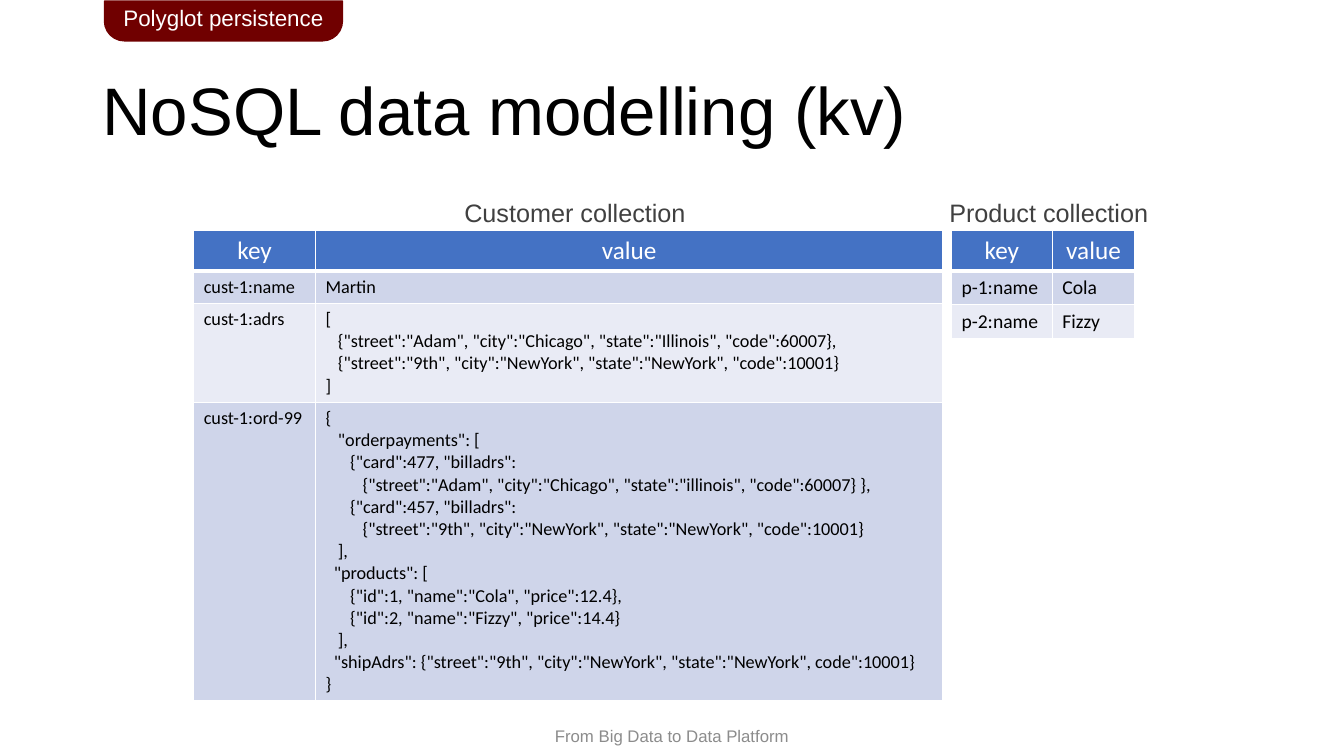
from collections import namedtuple
from dataclasses import dataclass

from lxml.etree import SubElement
from pptx import Presentation
from pptx.dml.color import RGBColor
from pptx.enum.shapes import MSO_SHAPE as Preset
from pptx.enum.text import MSO_ANCHOR as Anchor, MSO_AUTO_SIZE as AutoSize, PP_ALIGN as Align
from pptx.oxml.ns import qn
from pptx.util import Pt

Box = namedtuple("Box", "left top width height")


@dataclass(frozen=True)
class Theme:
    sans: str = "Arial"
    body: str = "Calibri"
    black: str = "000000"
    white: str = "FFFFFF"
    caption: str = "404040"
    footer: str = "8C8C8C"
    maroon: str = "700000"
    header: str = "4472C4"
    bands: tuple = ("CFD5EA", "E9EBF5")
    title_size: int = 48
    heading_size: int = 18
    tag_size: int = 16
    footer_size: int = 12
    customer_size: int = 13
    product_size: int = 14


THEME = Theme()

ADDRESSES = """[
   {"street":"Adam", "city":"Chicago", "state":"Illinois", "code":60007},\v\
   {"street":"9th", "city":"NewYork", "state":"NewYork", "code":10001}
]"""

ORDER = """{
   "orderpayments": [
      {"card":477, "billadrs":
         {"street":"Adam", "city":"Chicago", "state":"illinois", "code":60007} },
      {"card":457, "billadrs":
         {"street":"9th", "city":"NewYork", "state":"NewYork", "code":10001}
   ],
  "products": [
      {"id":1, "name":"Cola", "price":12.4},
      {"id":2, "name":"Fizzy", "price":14.4}
   ],
  "shipAdrs": {"street":"9th", "city":"NewYork", "state":"NewYork", code":10001}
}"""

HEADINGS = ("key", "value")
CUSTOMERS = [
    HEADINGS,
    ("cust-1:name", "Martin"),
    ("cust-1:adrs", ADDRESSES),
    ("cust-1:ord-99", ORDER),
]
PRODUCTS = [HEADINGS, ("p-1:name", "Cola"), ("p-2:name", "Fizzy")]


def points(box):
    return [Pt(length) for length in box]


def write(frame, text, size, color, font=THEME.sans, align=Align.LEFT):
    frame.text = text
    for para in frame.paragraphs:
        para.alignment = align
        para.font.name = font
        para.font.size = Pt(size)
        para.font.color.rgb = RGBColor.from_string(color)


def paint(fill, color):
    fill.solid()
    fill.fore_color.rgb = RGBColor.from_string(color)


def add_borders(cell, bottom, color=THEME.white):
    properties = cell._tc.get_or_add_tcPr()
    for side, width in (("L", 1), ("R", 1), ("T", 1), ("B", bottom)):
        line = SubElement(properties, qn(f"a:ln{side}"), w=str(Pt(width)))
        SubElement(SubElement(line, qn("a:solidFill")), qn("a:srgbClr"), val=color)


def add_title(page, box, text):
    title = page.shapes.title
    title.left, title.top, title.width, title.height = points(box)
    frame = title.text_frame
    frame.auto_size = AutoSize.NONE
    frame.vertical_anchor = Anchor.MIDDLE
    write(frame, text, THEME.title_size, THEME.black)
    frame.paragraphs[0].line_spacing = 0.9


def add_section_tag(page, box, text):
    tag = page.shapes.add_shape(Preset.ROUND_2_SAME_RECTANGLE, *points(box))
    tag.adjustments[0], tag.adjustments[1] = 0, 0.5
    tag.shadow.inherit = False
    paint(tag.fill, THEME.maroon)
    paint(tag.line.fill, THEME.maroon)
    tag.line.width = Pt(1)
    tag.text_frame.vertical_anchor = Anchor.MIDDLE
    write(tag.text_frame, text, THEME.tag_size, THEME.white, align=Align.CENTER)


def add_caption(page, box, text):
    frame = page.shapes.add_textbox(*points(box)).text_frame
    frame.word_wrap = False
    frame.auto_size = AutoSize.SHAPE_TO_FIT_TEXT
    write(frame, text, THEME.heading_size, THEME.caption)


def add_footer(page, box, text):
    frame = page.shapes.add_textbox(*points(box)).text_frame
    frame.word_wrap = True
    frame.vertical_anchor = Anchor.MIDDLE
    write(frame, text, THEME.footer_size, THEME.footer, align=Align.CENTER)


def add_collection(page, box, rows, key_width, row_heights, size):
    table = page.shapes.add_table(len(rows), 2, *points(box)).table
    for column, width in zip(table.columns, (key_width, box.width - key_width)):
        column.width = Pt(width)
    for index, (values, height) in enumerate(zip(rows, row_heights)):
        table.rows[index].height = Pt(height)
        for cell, value in zip(table.rows[index].cells, values):
            if index == 0:
                add_borders(cell, bottom=3)
                paint(cell.fill, THEME.header)
                write(cell.text_frame, value, THEME.heading_size, THEME.white,
                      THEME.body, Align.CENTER)
            else:
                add_borders(cell, bottom=1)
                paint(cell.fill, THEME.bands[(index - 1) % 2])
                write(cell.text_frame, value, size, THEME.black, THEME.body)


def build_modelling_page(page):
    add_footer(page, Box(345, 511, 270, 29), "From Big Data to Data Platform")
    customer_heights = (29, 23, 70.7, 213.5)
    add_collection(page, Box(138.4, 164.6, 535, sum(customer_heights)), CUSTOMERS,
                   87, customer_heights, THEME.customer_size)
    add_title(page, Box(66, 28.8, 828, 104.4), "NoSQL data modelling (kv)")
    product_heights = (29, 24, 24)
    add_collection(page, Box(679.6, 164.6, 131, sum(product_heights)), PRODUCTS,
                   72, product_heights, THEME.product_size)
    add_caption(page, Box(324.6, 137.5, 174, 29), "Customer collection")
    add_caption(page, Box(671, 137.5, 158, 29), "Product collection")
    add_section_tag(page, Box(74.6, 0.8, 170, 28.4), "Polyglot persistence")


def main():
    deck = Presentation()
    deck.slide_width, deck.slide_height = Pt(960), Pt(540)
    build_modelling_page(deck.slides.add_slide(deck.slide_layouts.get_by_name("Title Only")))
    deck.save("out.pptx")


if __name__ == "__main__":
    main()
